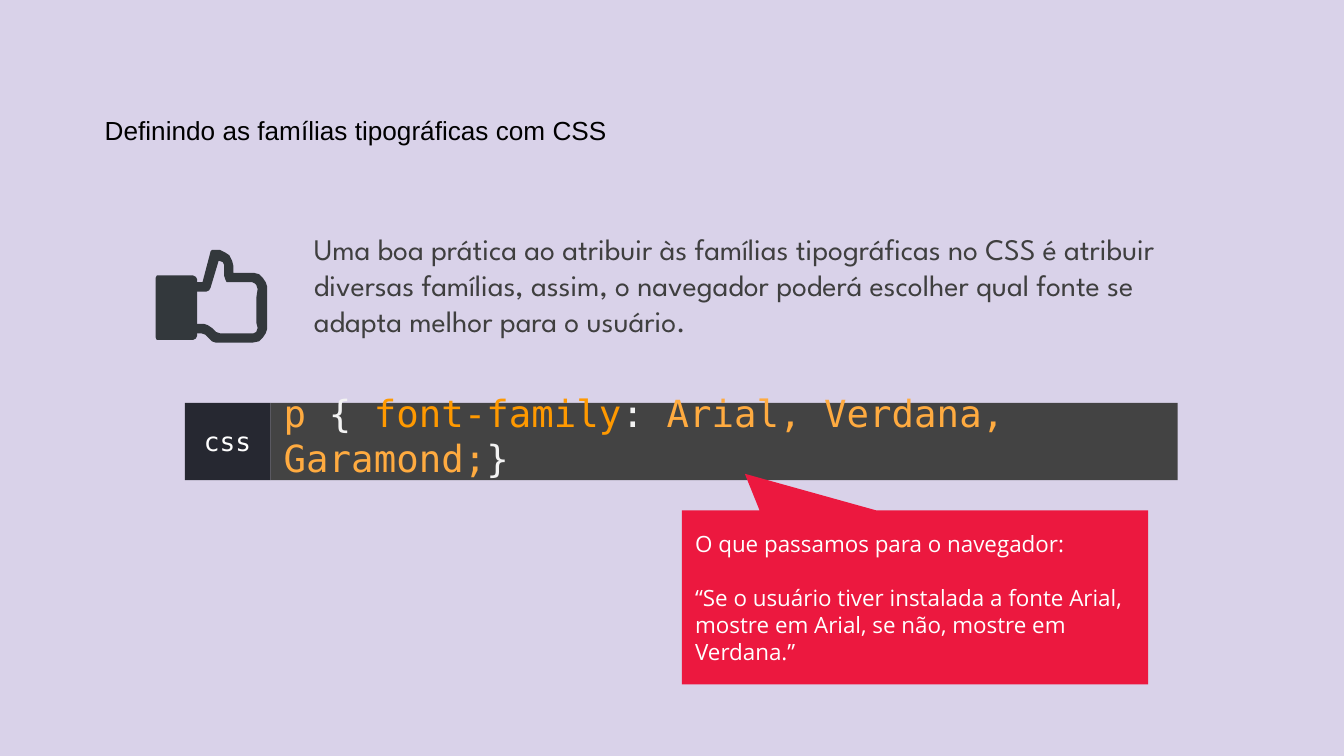
from pptx import Presentation
from pptx.dml.color import RGBColor
from pptx.enum.shapes import MSO_SHAPE
from pptx.enum.text import MSO_ANCHOR, PP_ALIGN
from pptx.util import Pt

COLORS = {
    "background": "D9D2E9", "title": "000000", "body": "3F3F3F",
    "code_box": "434343", "label_box": "262831", "icon": "33383C",
    "callout": "EC183F", "white": "FFFFFF", "punctuation": "F3F3F3",
    "value": "FFAB40", "property": "FF9900",
}
MONO = "DejaVu Sans Mono"
INSET = 7.2

# Icon outlines, in units of 0.72 points from the icon's top left corner
ICON_UNIT = 0.72
CUFF = [(2, 19), (1, 19), (0, 21), (0, 65), (1, 67), (2, 67), (28, 67),
        (30, 66), (31, 64), (31, 22), (30, 20), (28, 19)]
HAND = [(44, 0), (42, 0), (41, 1), (40, 5), (35, 24), (31, 24), (31, 31),
        (38, 31), (40, 30), (41, 28), (44, 18), (47, 8), (50, 9), (51, 11),
        (51, 19), (52, 22), (53, 24), (56, 24), (72, 24), (74, 25), (75, 26),
        (76, 29), (75, 36), (75, 54), (76, 58), (75, 61), (73, 62), (48, 62),
        (45, 61), (42, 58), (39, 56), (36, 55), (31, 55), (31, 62), (34, 62),
        (37, 63), (40, 66), (42, 68), (45, 69), (72, 69), (77, 68), (80, 65),
        (82, 62), (83, 59), (83, 27), (82, 24), (80, 21), (77, 18), (73, 17),
        (58, 17), (58, 12), (57, 8), (55, 4), (52, 2), (50, 1), (48, 0)]


class SlideBuilder:
    def __init__(self, slide):
        self.slide = slide
        self.slide.background.fill.solid()
        self.slide.background.fill.fore_color.rgb = self.color("background")

    def color(self, name):
        return RGBColor.from_string(COLORS[name])

    def paint(self, shape, fill):
        shape.shadow.inherit = False
        shape.fill.solid()
        shape.fill.fore_color.rgb = self.color(fill)
        shape.line.fill.background()

    def set_text(self, shape, paragraphs, size, font, color=None, gap=0,
                 align=PP_ALIGN.LEFT, anchor=MSO_ANCHOR.MIDDLE, top_inset=INSET):
        """Each paragraph is a list of (text, color name) runs."""
        frame = shape.text_frame
        frame.word_wrap = True
        frame.vertical_anchor = anchor
        frame.margin_left = frame.margin_right = frame.margin_bottom = Pt(INSET)
        frame.margin_top = Pt(top_inset)
        for index, runs in enumerate(paragraphs):
            paragraph = frame.add_paragraph() if index else frame.paragraphs[0]
            paragraph.alignment = align
            paragraph.font.size = Pt(size)
            paragraph.font.name = font
            if color:
                paragraph.font.color.rgb = self.color(color)
            if index:
                paragraph.space_before = Pt(gap)
            for text, run_color in runs:
                run = paragraph.add_run()
                run.text = text
                if run_color:
                    run.font.color.rgb = self.color(run_color)

    def text(self, box, text, size, font, color, anchor=MSO_ANCHOR.TOP):
        shape = self.slide.shapes.add_textbox(*map(Pt, box))
        self.set_text(shape, [[(text, None)]], size, font, color, anchor=anchor)

    def box(self, box, fill, paragraphs, size, font, kind=MSO_SHAPE.RECTANGLE,
            adjustments=(), **style):
        shape = self.slide.shapes.add_shape(kind, *map(Pt, box))
        for index, value in enumerate(adjustments):
            shape.adjustments[index] = value
        self.paint(shape, fill)
        self.set_text(shape, paragraphs, size, font, **style)

    def outline(self, left, top, points, fill):
        builder = self.slide.shapes.build_freeform(*points[0], scale=Pt(ICON_UNIT))
        builder.add_line_segments(points[1:], close=True)
        self.paint(builder.convert_to_shape(Pt(left), Pt(top)), fill)


def main():
    presentation = Presentation()
    presentation.slide_width = Pt(720)
    presentation.slide_height = Pt(405)
    builder = SlideBuilder(
        presentation.slides.add_slide(presentation.slide_layouts[6]))

    # Title and advice
    builder.text((49, 46.8, 612.7, 45.4),
                 "Definindo as famílias tipográficas com CSS",
                 14, "Arial", "title", MSO_ANCHOR.MIDDLE)
    builder.text((161.1, 116.6, 497.5, 38.2),
                 "Uma boa prática ao atribuir às famílias tipográficas no CSS é "
                 "atribuir diversas famílias, assim, o navegador poderá escolher "
                 "qual fonte se adapta melhor para o usuário.",
                 16, "League Spartan", "body")

    # Code sample with its language label
    code = [("p", "value"), (" { ", "punctuation"),
            ("font-family", "property"), (": ", "punctuation"),
            ("Arial, Verdana, Garamond;", "value"), ("}", "punctuation")]
    builder.box((144.9, 215.8, 486, 41.5), "code_box", [code], 20, MONO,
                top_inset=0)
    builder.box((99, 215.8, 45.9, 41.5), "label_box", [[("css", None)]], 14, MONO,
                color="white", align=PP_ALIGN.CENTER)

    # Thumbs-up icon
    for points in (CUFF, HAND):
        builder.outline(83.3, 133.9, points, "icon")

    # Callout explaining the code
    builder.box((365.3, 273.4, 249.7, 93.3), "callout",
                [[("O que passamos para o navegador:", None)],
                 [("“Se o usuário tiver instalada a fonte Arial, mostre em Arial, "
                   "se não, mostre em Verdana.”", None)]],
                12, "Open Sans", kind=MSO_SHAPE.ROUNDED_RECTANGULAR_CALLOUT,
                adjustments=(-0.365, -0.71, 0), color="white", gap=14.4)

    presentation.save("out.pptx")


if __name__ == "__main__":
    main()
